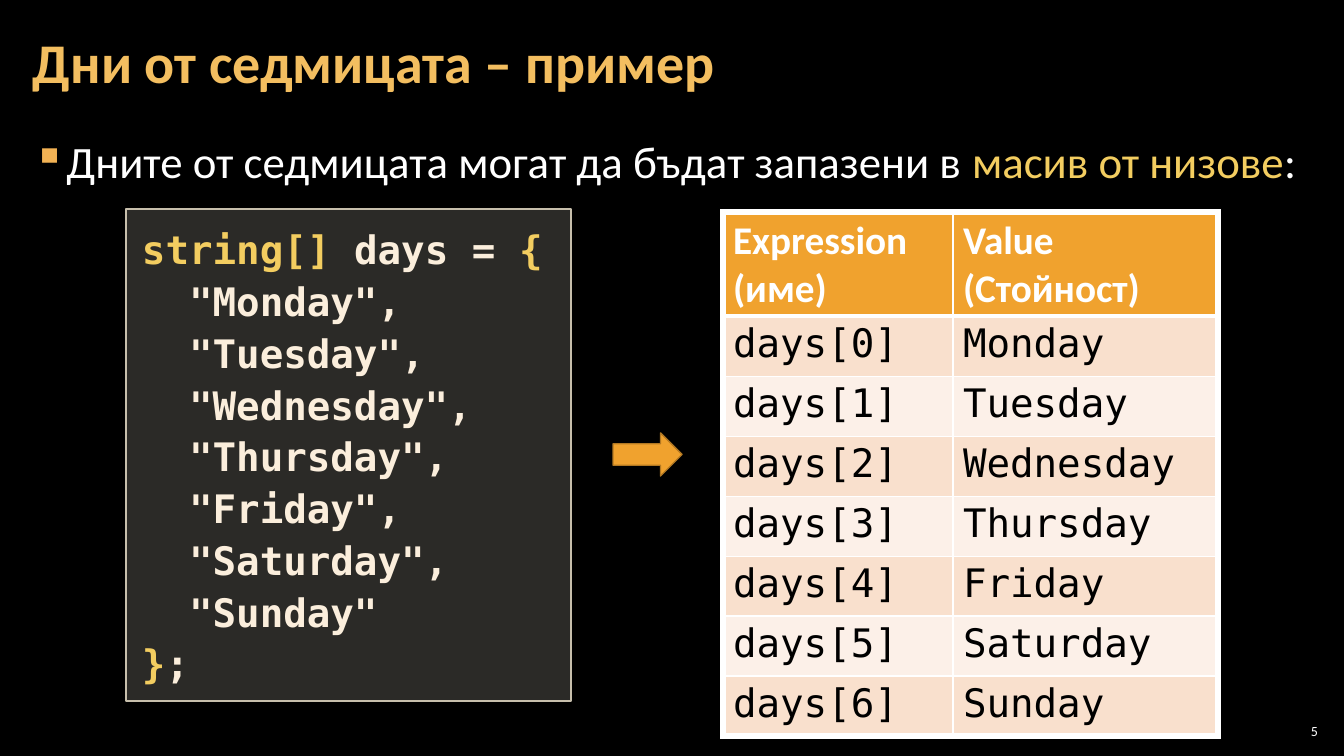
from lxml.etree import SubElement
from pptx import Presentation
from pptx.dml.color import RGBColor
from pptx.enum.shapes import MSO_SHAPE
from pptx.enum.text import MSO_ANCHOR, PP_ALIGN
from pptx.oxml.ns import qn
from pptx.util import Pt

EMU_PER_PX = 914400 / 100.8
SANS = "Calibri"
MONO = "DejaVu Sans Mono"
COLORS = {
    "black": "000000",
    "white": "FFFFFF",
    "title": "F3BE60",
    "bullet": "F2B254",
    "highlight": "F3CD60",
    "code": "FBEEDC",
    "code_fill": "D9D5C7",
    "code_line": "C7BFAC",
    "orange": "F0A22E",
    "arrow_line": "B27822",
    "band_dark": "F9E0CD",
    "band_light": "FCF0E8",
}
DAYS = ["Monday", "Tuesday", "Wednesday", "Thursday", "Friday", "Saturday", "Sunday"]


def px(length):
    return round(length * EMU_PER_PX)


def rgb(name):
    return RGBColor.from_string(COLORS[name])


def set_frame(frame, margin_x, margin_y, anchor=MSO_ANCHOR.TOP):
    frame.word_wrap = True
    frame.vertical_anchor = anchor
    frame.margin_left = frame.margin_right = px(margin_x)
    frame.margin_top = frame.margin_bottom = px(margin_y)


def write_spans(paragraph, spans, font, size, bold=False):
    """Fill a paragraph with (text, color name) spans."""
    for text, color in spans:
        span = paragraph.add_run()
        span.text = text
        span.font.name = font
        span.font.size = Pt(size)
        span.font.bold = bold
        span.font.color.rgb = rgb(color)


def add_text(page, left, top, width, height, spans, size, margin_x=12,
             anchor=MSO_ANCHOR.TOP, bold=False):
    box = page.shapes.add_textbox(px(left), px(top), px(width), px(height))
    set_frame(box.text_frame, margin_x, 4, anchor)
    paragraph = box.text_frame.paragraphs[0]
    write_spans(paragraph, spans, SANS, size, bold)
    return paragraph


def add_bullet(paragraph, symbol, color, indent):
    properties = paragraph._p.get_or_add_pPr()
    properties.set("marL", str(px(indent)))
    properties.set("indent", str(-px(indent)))
    bullet_color = SubElement(properties, qn("a:buClr"))
    SubElement(bullet_color, qn("a:srgbClr"), val=COLORS[color])
    SubElement(properties, qn("a:buChar"), char=symbol)


def add_block(page, kind, left, top, width, height, fill, line):
    block = page.shapes.add_shape(kind, px(left), px(top), px(width), px(height))
    block.shadow.inherit = False
    block.fill.solid()
    block.fill.fore_color.rgb = rgb(fill)
    block.line.color.rgb = rgb(line)
    block.line.width = Pt(1)
    return block


def set_opacity(shape, percent):
    color = shape._element.spPr.find(qn("a:solidFill")).find(qn("a:srgbClr"))
    SubElement(color, qn("a:alpha"), val=str(percent * 1000))


def add_code(page, left, top, width, height, lines):
    block = add_block(page, MSO_SHAPE.RECTANGLE, left, top, width, height,
                      "code_fill", "code_line")
    set_opacity(block, 20)
    frame = block.text_frame
    set_frame(frame, 16, 12)
    for index, spans in enumerate(lines):
        paragraph = frame.add_paragraph() if index else frame.paragraphs[0]
        paragraph.alignment = PP_ALIGN.LEFT
        paragraph.line_spacing = 1.1
        write_spans(paragraph, spans, MONO, 28, True)


def set_borders(cell, widths):
    """Draw white borders; widths are points for left, right, top, bottom."""
    properties = cell._tc.get_or_add_tcPr()
    for side, width in zip("LRTB", widths):
        line = SubElement(properties, qn(f"a:ln{side}"), w=str(Pt(width)))
        fill = SubElement(line, qn("a:solidFill"))
        SubElement(fill, qn("a:srgbClr"), val=COLORS["white"])


def add_table(page, left, top, column_widths, row_heights, rows):
    """Add a banded table with a header; each cell is a list of lines."""
    frame = page.shapes.add_table(len(rows), len(column_widths), px(left), px(top),
                                  px(sum(column_widths)), px(sum(row_heights)))
    table = frame.table
    for column, width in zip(table.columns, column_widths):
        column.width = px(width)
    last_row, last_column = len(rows) - 1, len(column_widths) - 1
    for r, row in enumerate(rows):
        table.rows[r].height = px(row_heights[r])
        header = r == 0
        fill = "orange" if header else ("band_dark" if r % 2 else "band_light")
        for c, lines in enumerate(row):
            cell = table.cell(r, c)
            set_borders(cell, (
                4.5 if c == 0 else 1,
                4.5 if c == last_column else 1,
                4.5 if header else 3 if r == 1 else 1,
                3 if header else 4.5 if r == last_row else 1,
            ))
            cell.fill.solid()
            cell.fill.fore_color.rgb = rgb(fill)
            for index, line in enumerate(lines):
                text = cell.text_frame
                paragraph = text.add_paragraph() if index else text.paragraphs[0]
                write_spans(paragraph, [(line, "white" if header else "black")],
                            SANS if header else MONO, 28, header)


def main():
    deck = Presentation()
    deck.slide_width, deck.slide_height = px(1344), px(756)
    page = deck.slides.add_slide(deck.slide_layouts[6])
    page.background.fill.solid()
    page.background.fill.fore_color.rgb = rgb("black")

    statement = add_text(page, 21, 127, 1301, 614, [
        ("Дните от седмицата могат да бъдат запазени в ", "white"),
        ("масив от низове", "highlight"),
        (":", "white"),
    ], 32)
    add_bullet(statement, "▪", "bullet", 33)
    statement.line_spacing = 1.05
    statement.space_after = Pt(6)

    title = add_text(page, 21, 4, 1301, 122, [("Дни от седмицата – пример", "title")],
                     40, anchor=MSO_ANCHOR.MIDDLE, bold=True)
    title.line_spacing = 0.9

    day_lines = [f'  "{day}",' for day in DAYS[:-1]] + [f'  "{DAYS[-1]}"']
    add_code(page, 126, 209, 445, 492, [
        [("string[] ", "highlight"), ("days = ", "code"), ("{", "highlight")],
        *[[(line, "code")] for line in day_lines],
        [("}", "highlight"), (";", "code")],
    ])

    header = [["Expression (име)"], ["Value", "(Стойност)"]]
    values = [[[f"days[{index}]"], [day]] for index, day in enumerate(DAYS)]
    add_table(page, 723, 212, [230, 265], [104] + [60] * len(DAYS), [header] + values)

    add_block(page, MSO_SHAPE.RIGHT_ARROW, 613, 433, 69, 43, "orange", "arrow_line")

    number = add_text(page, 1275, 720, 47, 21, [("5", "white")], 10, margin_x=4,
                      anchor=MSO_ANCHOR.MIDDLE)
    number.alignment = PP_ALIGN.RIGHT

    deck.save("out.pptx")


if __name__ == "__main__":
    main()
